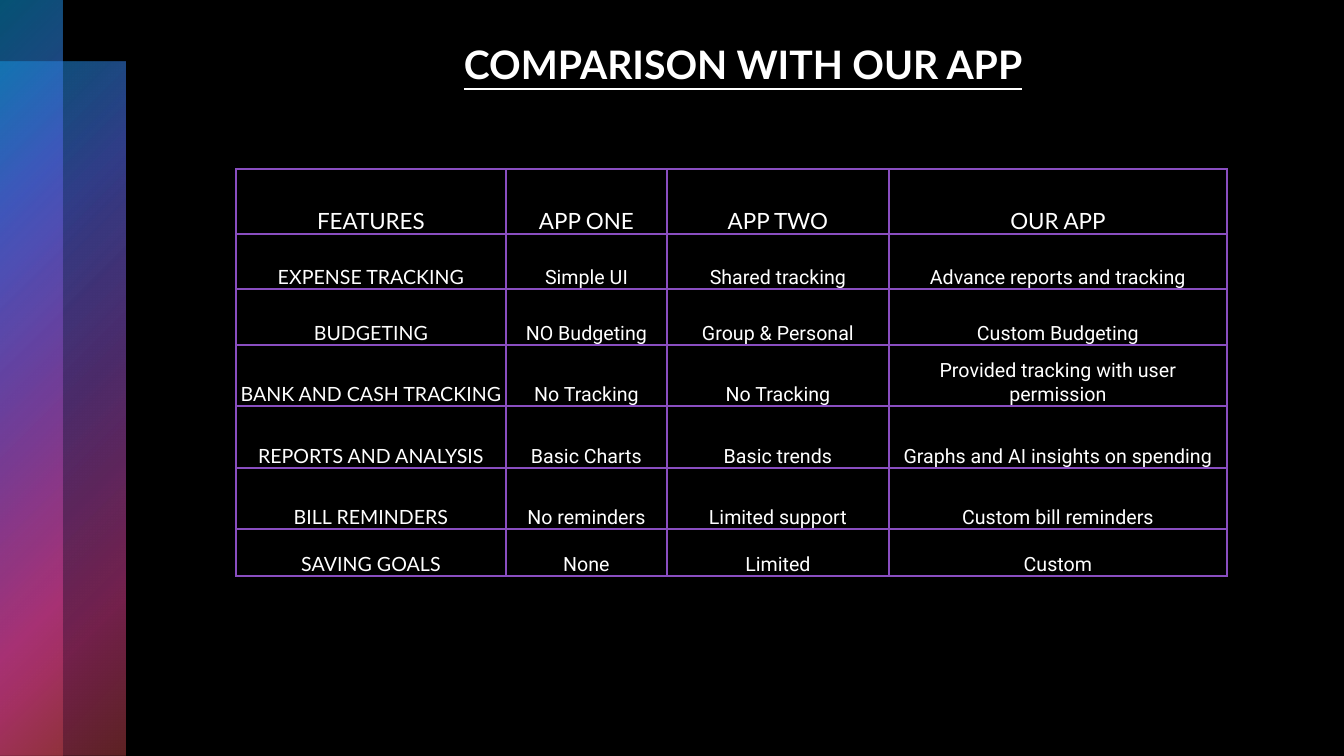
"""Build the app comparison slide."""
from dataclasses import dataclass

from pptx import Presentation
from pptx.dml.color import RGBColor
from pptx.enum.shapes import MSO_SHAPE
from pptx.enum.text import MSO_ANCHOR, MSO_AUTO_SIZE, PP_ALIGN
from pptx.oxml import parse_xml
from pptx.oxml.ns import nsdecls, qn
from pptx.slide import Slide
from pptx.table import _Cell
from pptx.text.text import TextFrame
from pptx.util import Emu, Pt


@dataclass(frozen=True)
class Theme:
    back: str = "000000"
    text: str = "FFFFFF"
    rule: str = "894EC0"
    head: str = "Lato"
    body: str = "Roboto"
    title: int = 28
    label: int = 16
    cell: int = 14
    stops: tuple = ((0, "0BA5E8", 50), (25, "5066E1", 60), (50, "894EC0", 55),
                    (81, "E54196", 50), (99, "BE4449", 50))


@dataclass(frozen=True)
class Box:
    left: int
    top: int
    width: int
    height: int


THEME = Theme()
SLIDE = Box(0, 0, 1344, 756)
TITLE = Box(206, 35, 1074, 57)
GRID = Box(236, 169, 991, 407)
BARS = (Box(0, 62, 126, 694), Box(0, 0, 63, 756))
COLS = (270, 161, 222, 338)
ROWS = (65, 55, 56, 61, 62, 61, 47)
DATA = (
    ("FEATURES", "APP ONE", "APP TWO", "OUR APP"),
    ("EXPENSE TRACKING", "Simple UI", "Shared tracking", "Advance reports and tracking"),
    ("BUDGETING", "NO Budgeting", "Group & Personal", "Custom Budgeting"),
    ("BANK AND CASH TRACKING", "No Tracking", "No Tracking",
     "Provided tracking with user permission"),
    ("REPORTS AND ANALYSIS", "Basic Charts", "Basic trends",
     "Graphs and AI insights on spending"),
    ("BILL REMINDERS", "No reminders", "Limited support", "Custom bill reminders"),
    ("SAVING GOALS", "None", "Limited", "Custom"),
)


def px(count: int) -> Emu:
    return Emu(round(count * 914400 / 100.8))


def place(box: Box) -> tuple[Emu, Emu, Emu, Emu]:
    return px(box.left), px(box.top), px(box.width), px(box.height)


def write(frame: TextFrame, text: str, *, size: int, face: str,
          bold: bool = False, under: bool = False) -> None:
    para = frame.paragraphs[0]
    para.alignment = PP_ALIGN.CENTER
    run = para.add_run()
    run.text = text
    font = run.font
    font.size, font.name = Pt(size), face
    font.bold, font.underline = bold, under
    font.color.rgb = RGBColor.from_string(THEME.text)


def add_bar(slide: Slide, box: Box) -> None:
    bar = slide.shapes.add_shape(MSO_SHAPE.RECTANGLE, *place(box))
    bar.shadow.inherit = False
    bar.line.fill.background()
    bar.fill.background()
    stops = "".join(
        f'<a:gs pos="{at * 1000}"><a:srgbClr val="{tint}">'
        f'<a:alpha val="{alpha * 1000}"/></a:srgbClr></a:gs>'
        for at, tint, alpha in THEME.stops)
    fade = parse_xml(
        f'<a:gradFill {nsdecls("a")} rotWithShape="1"><a:gsLst>{stops}</a:gsLst>'
        '<a:path path="circle"><a:fillToRect r="100000" b="100000"/></a:path>'
        '</a:gradFill>')
    props = bar._element.spPr
    props.replace(props.find(qn("a:noFill")), fade)


def add_title(slide: Slide) -> None:
    title = slide.shapes.title
    title.left, title.top, title.width, title.height = place(TITLE)
    frame = title.text_frame
    frame.word_wrap = True
    frame.auto_size = MSO_AUTO_SIZE.SHAPE_TO_FIT_TEXT
    write(frame, "COMPARISON WITH OUR APP", size=THEME.title, face=THEME.head,
          bold=True, under=True)


def style_cell(cell: _Cell) -> None:
    cell.vertical_anchor = MSO_ANCHOR.BOTTOM
    cell.margin_left = cell.margin_right = cell.margin_top = px(1)
    cell.margin_bottom = 0
    props = cell._tc.get_or_add_tcPr()
    for side in "LRTB":
        props.append(parse_xml(
            f'<a:ln{side} {nsdecls("a")} w="{Pt(1)}"><a:solidFill>'
            f'<a:srgbClr val="{THEME.rule}"/></a:solidFill></a:ln{side}>'))
    cell.fill.background()


def add_grid(slide: Slide) -> None:
    table = slide.shapes.add_table(len(ROWS), len(COLS), *place(GRID)).table
    table.first_row = table.horz_banding = False
    for col, width in zip(table.columns, COLS):
        col.width = px(width)
    for row, height in zip(table.rows, ROWS):
        row.height = px(height)
    for i, line in enumerate(DATA):
        for j, text in enumerate(line):
            cell = table.cell(i, j)
            style_cell(cell)
            write(cell.text_frame, text,
                  size=THEME.cell if i else THEME.label,
                  face=THEME.body if i and j else THEME.head)


def main() -> None:
    deck = Presentation()
    deck.slide_width, deck.slide_height = px(SLIDE.width), px(SLIDE.height)
    slide = deck.slides.add_slide(deck.slide_layouts[5])
    back = slide.background.fill
    back.solid()
    back.fore_color.rgb = RGBColor.from_string(THEME.back)
    for box in BARS:
        add_bar(slide, box)
    add_title(slide)
    add_grid(slide)
    deck.save("out.pptx")


if __name__ == "__main__":
    main()
